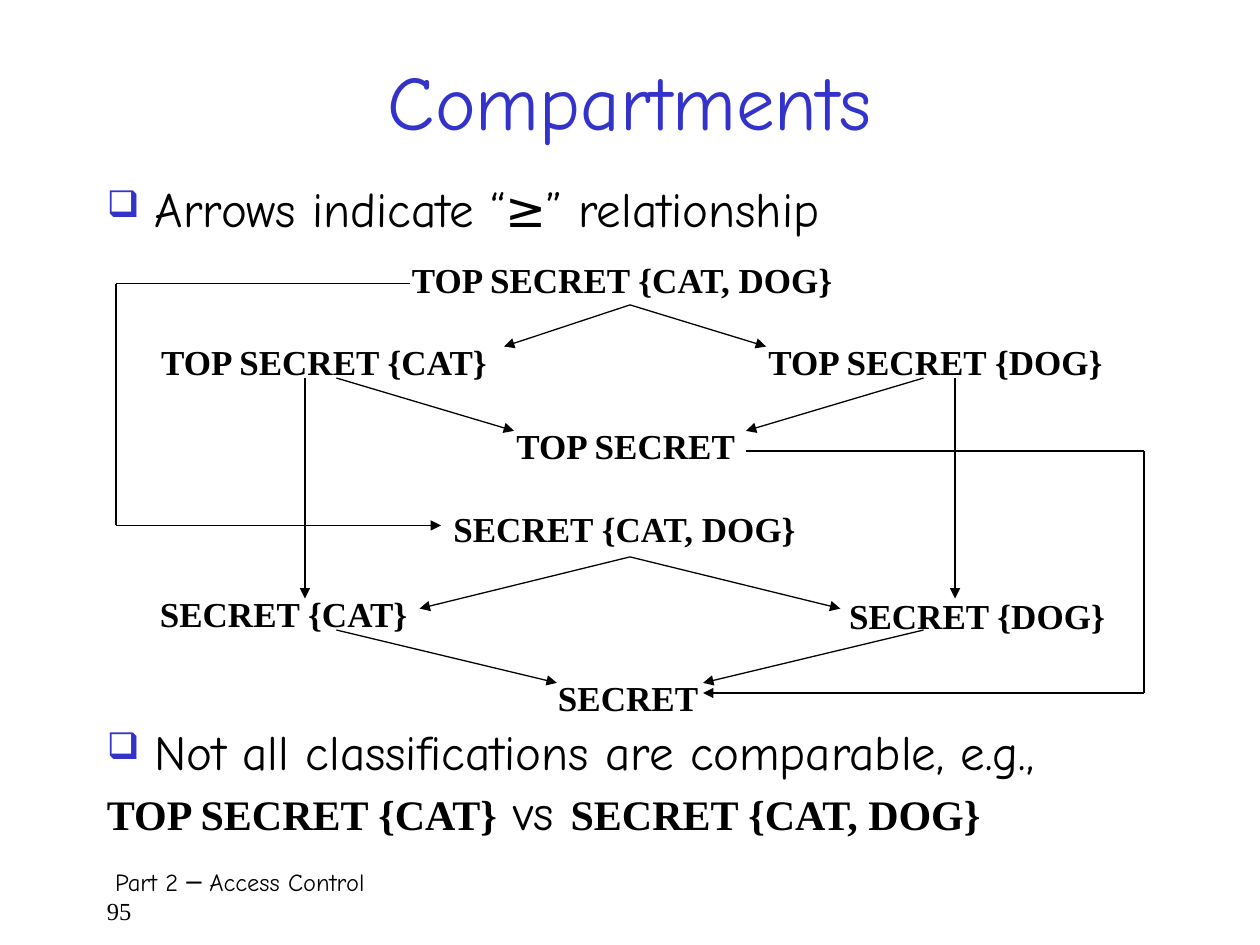
"""Build a slide showing how compartments order security classifications."""
from lxml import etree
from pptx import Presentation
from pptx import util as u
from pptx.dml.color import RGBColor
from pptx.enum import shapes, text
from pptx.oxml import ns

COLORS = {"ink": "000000", "accent": "3333CC"}
HAND, SERIF = "Comic Neue", "Times New Roman"


class SlideBuilder:
    """Hold the style and the current slide, and draw each kind of element."""

    def __init__(self, deck):
        self.slide = deck.slides.add_slide(deck.slide_layouts[5])

    def place(self, shape, left, top, width, height):
        shape.left, shape.top = u.Inches(left), u.Inches(top)
        shape.width, shape.height = u.Inches(width), u.Inches(height)

    def style(self, span, size, font=HAND, color="ink", bold=False):
        span.font.size, span.font.name, span.font.bold = u.Pt(size), font, bold
        span.font.color.rgb = RGBColor.from_string(COLORS[color])

    def title(self, words, *place):
        box = self.slide.shapes.title
        self.place(box, *place)
        frame = box.text_frame
        frame.text = words
        frame.vertical_anchor = text.MSO_ANCHOR.MIDDLE
        frame.paragraphs[0].alignment = text.PP_ALIGN.CENTER
        self.style(frame.paragraphs[0].runs[0], 44, color="accent")

    def text_box(self, paragraphs, place, wrap=True):
        box = self.slide.shapes.add_textbox(*(u.Inches(n) for n in place))
        frame = box.text_frame
        frame.word_wrap = wrap
        for index, spans in enumerate(paragraphs):
            para = frame.add_paragraph() if index else frame.paragraphs[0]
            for words, *look in spans:
                span = para.add_run()
                span.text = words
                self.style(span, *look)
        return frame

    def body(self, paragraphs, place, spacing):
        frame = self.text_box(paragraphs, place)
        for para in frame.paragraphs:
            para.line_spacing, para.space_before = spacing, u.Pt(5.6)
            props = para._p.get_or_add_pPr()
            props.set("marL", str(u.Inches(0.38)))
            props.set("indent", str(u.Inches(-0.38)))
        self.bullet(frame.paragraphs[0])

    def bullet(self, para):
        props = para._p.get_or_add_pPr()
        color = etree.SubElement(props, ns.qn("a:buClr"))
        etree.SubElement(color, ns.qn("a:srgbClr"), val=COLORS["accent"])
        etree.SubElement(props, ns.qn("a:buSzPct"), val="75000")
        etree.SubElement(props, ns.qn("a:buChar"), char="❑")

    def label(self, words, left, top, width):
        frame = self.text_box([[(words, 20, SERIF, "ink", True)]],
                              (left, top, width, 0.43), wrap=False)
        frame.auto_size = text.MSO_AUTO_SIZE.SHAPE_TO_FIT_TEXT

    def line(self, start, end, arrow=True):
        points = (u.Inches(n) for n in (*start, *end))
        line = self.slide.shapes.add_connector(shapes.MSO_CONNECTOR.STRAIGHT, *points)
        line.line.width = u.Pt(0.75)
        line.line.color.rgb = RGBColor.from_string(COLORS["ink"])
        if arrow:
            etree.SubElement(line.line._get_or_add_ln(), ns.qn("a:tailEnd"), type="triangle")
        etree.SubElement(line._element.spPr, ns.qn("a:effectLst"))

    def route(self, *points):
        last = len(points) - 2
        for index, (start, end) in enumerate(zip(points, points[1:])):
            self.line(start, end, arrow=index == last)


def main():
    deck = Presentation()
    deck.slide_width, deck.slide_height = u.Inches(10), u.Inches(7.5)
    page = SlideBuilder(deck)
    page.title("Compartments", 0.75, 0.17, 8.5, 1.25)
    page.text_box([[(" Part 2 ─ Access Control", 14)], [("95", 14, SERIF)]],
                  (0.75, 6.83, 8.58, 0.5))
    page.body([[("Arrows indicate “≥” relationship", 28)]], (0.75, 1.42, 8.5, 0.67), 0.9)
    page.body([[("Not all classifications are comparable, e.g.,", 28)],
               [("TOP SECRET {CAT}", 24, SERIF, "ink", True), (" vs ", 28),
                ("SECRET {CAT, DOG}", 24, SERIF, "ink", True)]],
              (0.75, 5.75, 8.58, 1), 0.85)

    for label in (("TOP SECRET {CAT, DOG}", 3.17, 2, 3.63),
                  ("TOP SECRET {CAT}", 1.18, 2.65, 2.84),
                  ("TOP SECRET {DOG}", 6, 2.65, 2.9),
                  ("TOP SECRET", 4, 3.32, 1.98),
                  ("SECRET {CAT, DOG}", 3.5, 3.98, 2.98),
                  ("SECRET {CAT}", 1.17, 4.65, 2.19),
                  ("SECRET {DOG}", 6.64, 4.67, 2.25),
                  ("SECRET", 4.33, 5.32, 1.33)):
        page.label(*label)

    for top, left_tip, right_tip, drop, inset in ((2.42, 4, 6.08, 0.33, 0.92),
                                                  (4.42, 3.33, 6.67, 0.41, 0.58)):
        for side, tip in ((-1, left_tip), (1, right_tip)):
            page.line((5, top), (tip, top + drop))
            page.line((5 + side * 2.33, top + 0.58), (5 + side * inset, top + 1))
    for x in (2.42, 7.58):
        page.line((x, 3), (x, 4.75))
    page.route((3.25, 2.25), (0.92, 2.25), (0.92, 4.17), (3.5, 4.17))
    page.route((5.92, 3.58), (9.08, 3.58), (9.08, 5.5), (5.58, 5.5))
    deck.save("out.pptx")


if __name__ == "__main__":
    main()
